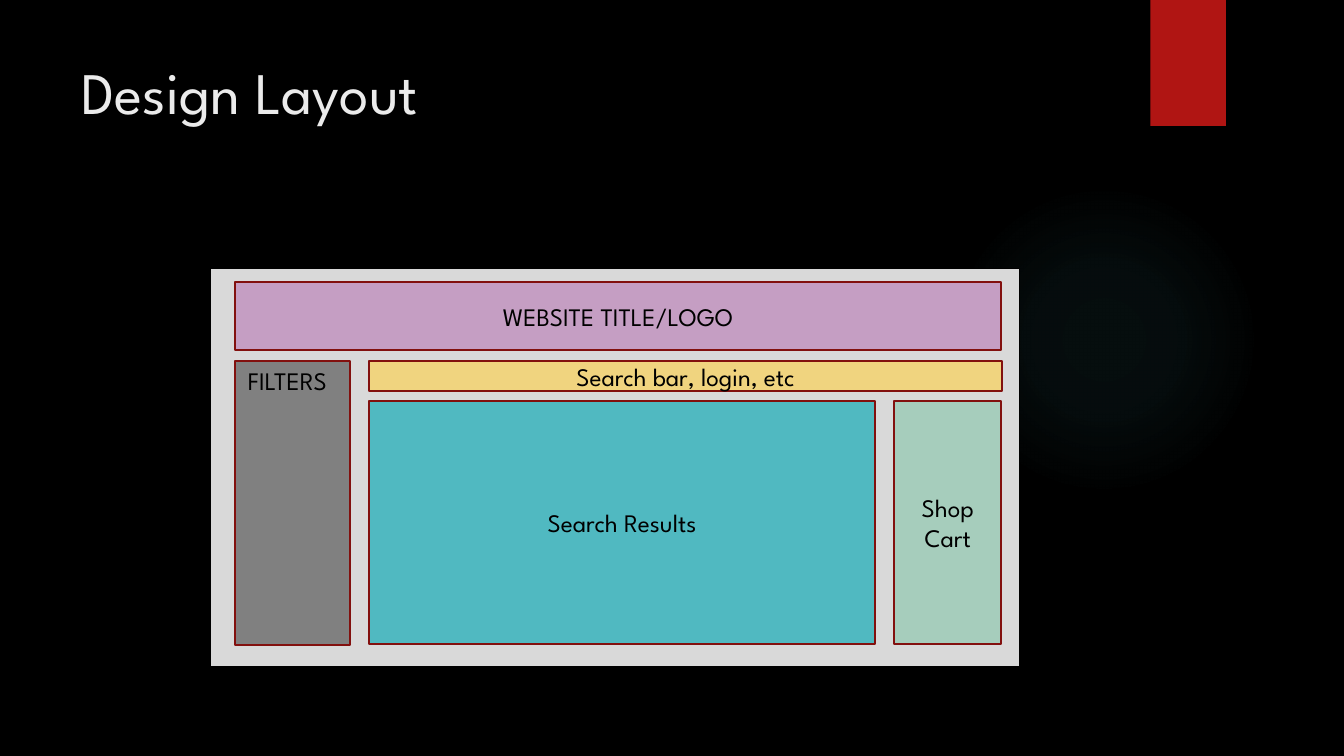
from pptx import Presentation
from pptx.dml.color import RGBColor
from pptx.enum.shapes import MSO_SHAPE as Shape
from pptx.enum.text import MSO_ANCHOR as Anchor, PP_ALIGN as Align
from pptx.oxml import parse_xml
from pptx.oxml.ns import nsdecls, qn
from pptx.util import Inches, Pt

FONT = "League Spartan"


def set_text(frame, text, size, color, align, anchor):
    frame.text = text
    frame.word_wrap = True
    frame.vertical_anchor = anchor
    paragraph = frame.paragraphs[0]
    paragraph.alignment = align
    font = paragraph.runs[0].font
    font.name, font.size = FONT, Pt(size)
    font.color.rgb = RGBColor.from_string(color)


def add_block(kind, box, fill, line=None, width=1.5):
    block = slide.shapes.add_shape(kind, *map(Inches, box))
    block.shadow.inherit = False
    block.fill.solid()
    block.fill.fore_color.rgb = RGBColor.from_string(fill)
    if line:
        block.line.color.rgb = RGBColor.from_string(line)
        block.line.width = Pt(width)
    else:
        block.line.fill.background()
    return block


prs = Presentation()
prs.slide_width, prs.slide_height = Inches(13.33), Inches(7.5)
slide = prs.slides.add_slide(prs.slide_layouts[5])
slide.background.fill.solid()
slide.background.fill.fore_color.rgb = RGBColor.from_string("000000")

glow = add_block(Shape.OVAL, (9.41, 1.83, 3.08, 3.08), "50B9C1")
stops = "".join(
    f'<a:gs pos="{position}000"><a:srgbClr val="50B9C1"><a:alpha val="{alpha}000"/></a:srgbClr></a:gs>'
    for position, alpha in [(0, 7), (36, 6), (69, 0)]
)
gradient = parse_xml(
    f'<a:gradFill {nsdecls("a")} rotWithShape="1"><a:gsLst>{stops}</a:gsLst><a:path path="circle">'
    '<a:fillToRect l="50000" t="50000" r="50000" b="50000"/></a:path></a:gradFill>'
)
glow_properties = glow.element.spPr
glow_properties.replace(glow_properties.find(qn("a:solidFill")), gradient)

add_block(Shape.RECTANGLE, (11.41, 0, 0.75, 1.25), "B01513")

title = slide.shapes.title
title.left, title.top, title.width, title.height = map(Inches, (0.71, 0.5, 10.29, 1.53))
set_text(title.text_frame, "Design Layout", 42, "EBEBEB", Align.LEFT, Anchor.TOP)

add_block(Shape.RECTANGLE, (2.09, 2.66, 8.02, 3.95), "D9D9D9", "000000", 0.75)
add_block(Shape.RECTANGLE, (2.33, 3.58, 1.14, 2.82), "808080", "82100E")
filters = slide.shapes.add_textbox(*map(Inches, (2.36, 3.58, 1.08, 0.4)))
set_text(filters.text_frame, "FILTERS", 18, "000000", Align.LEFT, Anchor.TOP)

page_areas = [
    ("WEBSITE TITLE/LOGO", Shape.RECTANGLE, (2.33, 2.8, 7.6, 0.67), "C59EC3"),
    ("Search Results", Shape.FLOWCHART_PROCESS, (3.66, 3.98, 5.02, 2.41), "50B9C1"),
    ("Search bar, login, etc", Shape.FLOWCHART_PROCESS, (3.66, 3.58, 6.28, 0.3), "F0D47F"),
    ("Shop Cart", Shape.FLOWCHART_PROCESS, (8.87, 3.98, 1.06, 2.41), "A6CDBC"),
]
for label, kind, box, fill in page_areas:
    area = add_block(kind, box, fill, "82100E")
    set_text(area.text_frame, label, 18, "000000", Align.CENTER, Anchor.MIDDLE)

prs.save("out.pptx")
